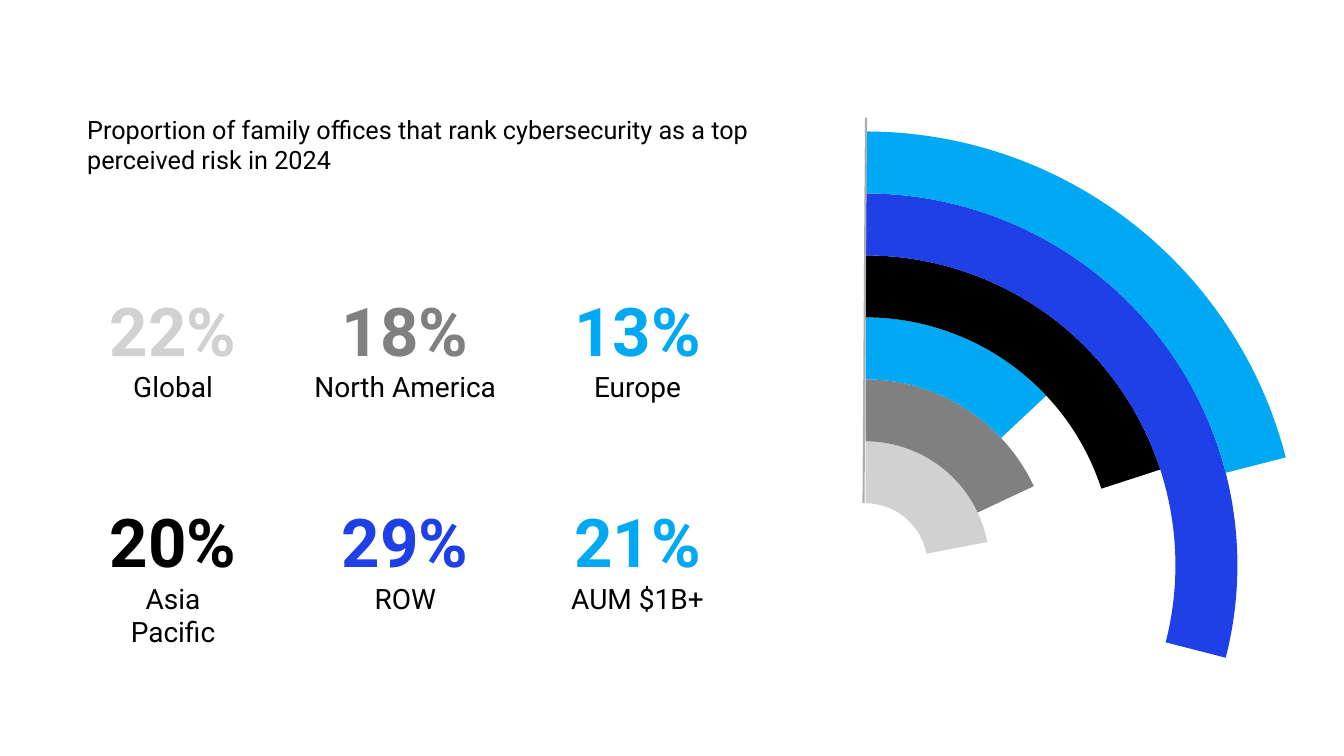
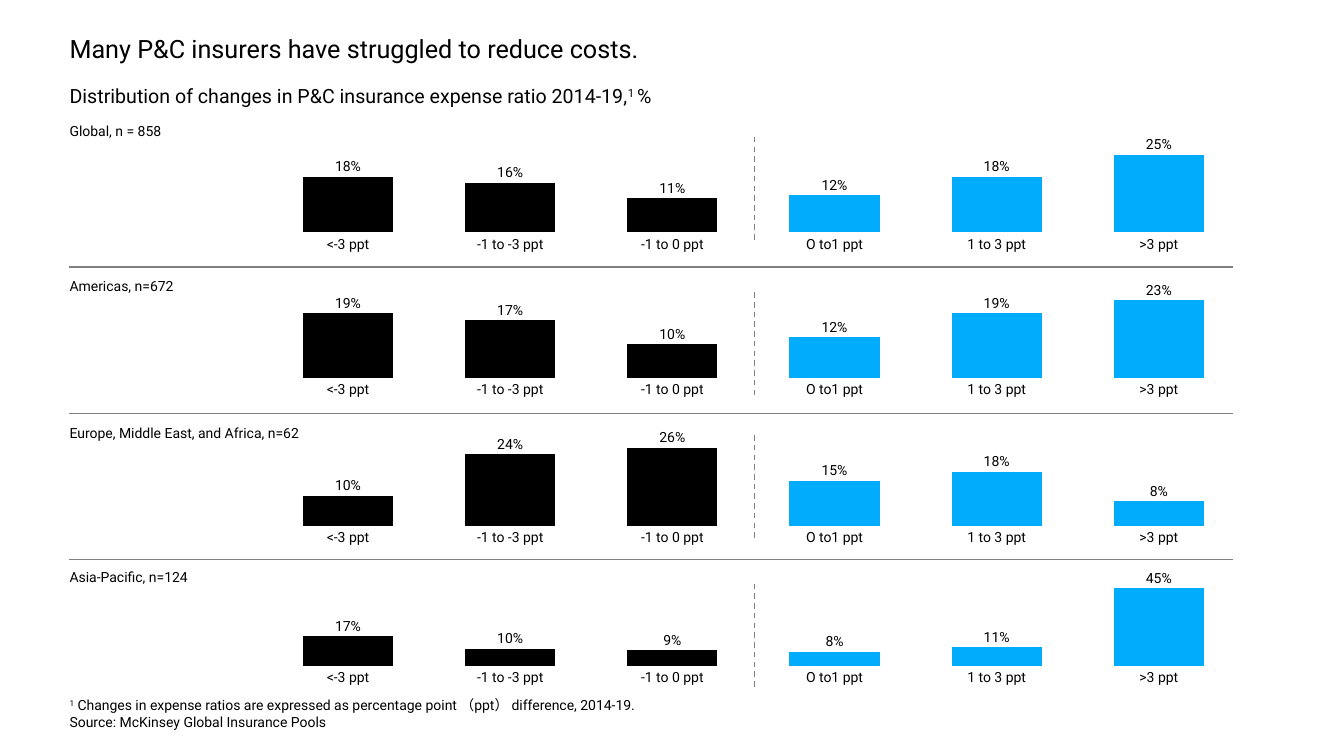
from lxml import etree
from pptx import Presentation
from pptx.chart.data import CategoryChartData
from pptx.dml.color import RGBColor
from pptx.enum.chart import XL_CHART_TYPE, XL_TICK_LABEL_POSITION, XL_TICK_MARK
from pptx.enum.dml import MSO_LINE
from pptx.enum.shapes import MSO_CONNECTOR
from pptx.enum.text import MSO_ANCHOR, PP_ALIGN
from pptx.oxml import parse_xml
from pptx.oxml.ns import nsdecls, qn
from pptx.util import Emu, Pt

DOUGHNUT, STACKED = XL_CHART_TYPE.DOUGHNUT, XL_CHART_TYPE.COLUMN_STACKED
NO_LABELS, NO_TICKS = XL_TICK_LABEL_POSITION.NONE, XL_TICK_MARK.NONE
LEFT, CENTER = PP_ALIGN.LEFT, PP_ALIGN.CENTER
TOP, BOTTOM = MSO_ANCHOR.TOP, MSO_ANCHOR.BOTTOM
STRAIGHT, DASH = MSO_CONNECTOR.STRAIGHT, MSO_LINE.DASH

CELL = Pt(6)  # the slide is a grid of square cells
COLUMNS, ROWS = 160, 90
COLOURS = {
    "black": "000000", "white": "FFFFFF", "silver": "D1D1D1", "grey": "808080",
    "axis": "AEAEAE", "sky": "01A9F5", "bar": "00ACFB", "royal": "2040E7",
}
TEXT_FONT, CHART_FONT = "Roboto", "Noto Sans CJK SC"
PLOT = {"x": 0.01, "y": 0.1, "w": 0.98, "h": 0.81}

REGIONS = [
    ("Global", 22, "silver"), ("North America", 18, "grey"),
    ("Europe", 13, "sky"), ("Asia Pacific", 20, "black"),
    ("ROW", 29, "royal"), ("AUM $1B+", 21, "sky"),
]
CHANGES = ["<-3 ppt", "-1 to -3 ppt", "-1 to 0 ppt", "O to1 ppt", "1 to 3 ppt", ">3 ppt"]
# label, label row, chart row, divider row, shares
MARKETS = [
    ("Global, n = 858", 14, 17.3, 16.3, [18, 16, 11, 12, 18, 25]),
    ("Americas, n=672", 32.5, 34.6, 34.8, [19, 17, 10, 12, 19, 23]),
    ("Europe, Middle East, and Africa, n=62", 49.9, 52.2, 51.8, [10, 24, 26, 15, 18, 8]),
    ("Asia-Pacific, n=124", 67.1, 68.9, 69.5, [17, 10, 9, 8, 11, 45]),
]


def cells(*lengths):
    return [Emu(round(length * CELL)) for length in lengths]


def colour(name):
    return RGBColor.from_string(COLOURS[name])


def set_all(target, values):
    for name, value in values.items():
        setattr(target, name, value)


def set_font(font, size, ink="black", name=TEXT_FONT, bold=False):
    set_all(font, {"size": Pt(size), "name": name, "bold": bold})
    font.color.rgb = colour(ink)


def fill(target, ink=None):
    """Fill a chart part without an outline; no ink leaves it clear."""
    if ink:
        target.format.fill.solid()
        target.format.fill.fore_color.rgb = colour(ink)
    else:
        target.format.fill.background()
    target.format.line.fill.background()


class Slides:
    def __init__(self):
        self.deck = Presentation()
        self.deck.slide_width, self.deck.slide_height = cells(COLUMNS, ROWS)
        self.page = None

    def new_page(self):
        self.page = self.deck.slides.add_slide(self.deck.slide_layouts[6])

    def text(self, at, paras, align=LEFT, anchor=TOP, tight=False):
        """Each para is a list of (text, font format, raised) spans."""
        frame = self.page.shapes.add_textbox(*cells(*at)).text_frame
        set_all(frame, {"word_wrap": True, "vertical_anchor": anchor})
        if tight:
            sides = ("left", "top", "right", "bottom")
            set_all(frame, {f"margin_{side}": 0 for side in sides})
        for index, spans in enumerate(paras):
            para = frame.add_paragraph() if index else frame.paragraphs[0]
            para.alignment = align
            if tight:
                para.line_spacing = 0.9
            for words, style, raised in spans:
                span = para.add_run()
                span.text = words
                set_font(span.font, **style)
                if raised:
                    span.font._element.set("baseline", "30000")

    def plain(self, at, lines, size, **layout):
        self.text(at, [[(line, {"size": size}, False)] for line in lines], **layout)

    def line(self, start, end, ink="grey", width=1, dash=None):
        rule = self.page.shapes.add_connector(STRAIGHT, *cells(*start, *end))
        rule.line.color.rgb = colour(ink)
        set_all(rule.line, {"width": Pt(width), "dash_style": dash})
        etree.SubElement(rule._element.spPr, qn("a:effectLst"))

    def chart(self, kind, at, categories, rows, size):
        data = CategoryChartData()
        data.categories = categories
        for number, values in enumerate(rows, 1):
            data.add_series(f"Series {number}", values)
        chart = self.page.shapes.add_chart(kind, *cells(*at), data).chart
        set_all(chart, {"has_legend": False, "has_title": False})
        set_font(chart.font, size, name=CHART_FONT)
        return chart

    def rings(self, at, regions):
        rows = [(share, 100 - share) for _, share, _ in regions]
        chart = self.chart(DOUGHNUT, at, ["1", "2"], rows, 18)
        plot = chart.plots[0]
        plot._element.find(qn("c:holeSize")).set("val", "19")
        for series, (_, _, ink) in zip(plot.series, regions):
            fill(series.points[0], ink)
            fill(series.points[1])

    def bars(self, at, shares):
        """Draw bars as percentages of the largest share and return them."""
        heights = [round(100 * share / max(shares)) for share in shares]
        numbers = [str(number) for number in range(1, len(shares) + 1)]
        chart = self.chart(STACKED, at, numbers, [heights], 10)
        set_all(chart.value_axis, {
            "minimum_scale": 0, "maximum_scale": 100,
            "has_major_gridlines": False, "visible": False})
        axis = chart.category_axis
        set_all(axis, {
            "tick_label_position": NO_LABELS, "major_tick_mark": NO_TICKS,
            "minor_tick_mark": NO_TICKS, "has_major_gridlines": False})
        axis.format.line.color.rgb = colour("white")
        axis.format.line.width = Pt(0.75)
        plot = chart.plots[0]
        set_all(plot, {"gap_width": 80, "overlap": 100, "vary_by_categories": False})
        series = plot.series[0]
        fill(series, "bar")
        for index in range(len(shares) // 2):
            fill(series.points[index], "black")
        self.place_plot(chart)
        return heights

    def place_plot(self, chart):
        area = chart._chartSpace.chart.plotArea
        for layout in area.findall(qn("c:layout")):
            area.remove(layout)
        modes = "".join(f'<c:{side}Mode val="edge"/>' for side in "xy")
        sizes = "".join(f'<c:{side} val="{share}"/>' for side, share in PLOT.items())
        area.insert(0, parse_xml(
            f'<c:layout {nsdecls("c")}><c:manualLayout><c:layoutTarget val="inner"/>'
            f"{modes}{sizes}</c:manualLayout></c:layout>"))

    def statistic(self, center, top, share, label, ink):
        width = 24.4 if label == "North America" else 19.6
        self.text((center - width / 2, top, width, 15), [
            [(f"{share}%", {"size": 48, "ink": ink, "bold": True}, False)],
            [(label, {"size": 20}, False)]], align=CENTER)

    def market(self, label, label_top, top, divider_top, shares):
        left, width, height = 30.6, 118.2, 11.4
        self.plain((7.1, label_top, 34, 3.2), [label], 10)
        heights = self.bars((left, top, width, height), shares)
        column = width * PLOT["w"] / len(shares)
        plot_height = height * PLOT["h"]
        base = top + height * PLOT["y"] + plot_height
        for index, (share, bar, change) in enumerate(zip(shares, heights, CHANGES)):
            x = left + width * PLOT["x"] + index * column
            value_top = base - plot_height * bar / 100 - 2.05
            self.plain((x, value_top, column, 1.8), [f"{share}%"], 10,
                       align=CENTER, anchor=BOTTOM, tight=True)
            self.plain((x, top + 10.95, column, 1.8), [change], 10,
                       align=CENTER, tight=True)
        self.line((89.8, divider_top), (89.8, divider_top + 12.5), dash=DASH)


def cybersecurity_page(slides):
    slides.new_page()
    slides.rings((41.2, 14, 123.7, 106.6), REGIONS)
    slides.line((103.1, 14), (102.8, 59.9), "axis", 1.5)
    slides.plain((9.2, 13, 88, 8.5), [
        "Proportion of family offices that rank cybersecurity as a top",
        "perceived risk in 2024"], 18)
    for index, (label, share, ink) in enumerate(REGIONS):
        row, column = divmod(index, 3)
        slides.statistic(20.6 + 27.65 * column, 33.8 + 25.2 * row, share, label, ink)


def insurance_page(slides):
    slides.new_page()
    slides.plain((7.1, 3.4, 140, 4.8), ["Many P&C insurers have struggled to reduce costs."], 18)
    subtitle, note = {"size": 14}, {"size": 10}
    slides.text((7.1, 9.4, 140, 4.1), [[
        ("Distribution of changes in P&C insurance expense ratio 2014-19,", subtitle, False),
        ("1 ", subtitle, True), ("%", subtitle, False)]])
    for market in MARKETS:
        slides.market(*market)
    for index in range(len(MARKETS) - 1):
        y = 31.8 + 17.4 * index
        slides.line((8.2, y), (146.8, y))
    slides.text((7.1, 82.3, 144.8, 5.3), [
        [("1", note, True),
         (" Changes in expense ratios are expressed as percentage point （ppt） difference, 2014-19.",
          note, False)],
        [("Source: McKinsey Global Insurance Pools", note, False)]])


def main():
    slides = Slides()
    cybersecurity_page(slides)
    insurance_page(slides)
    slides.deck.save("out.pptx")


if __name__ == "__main__":
    main()
